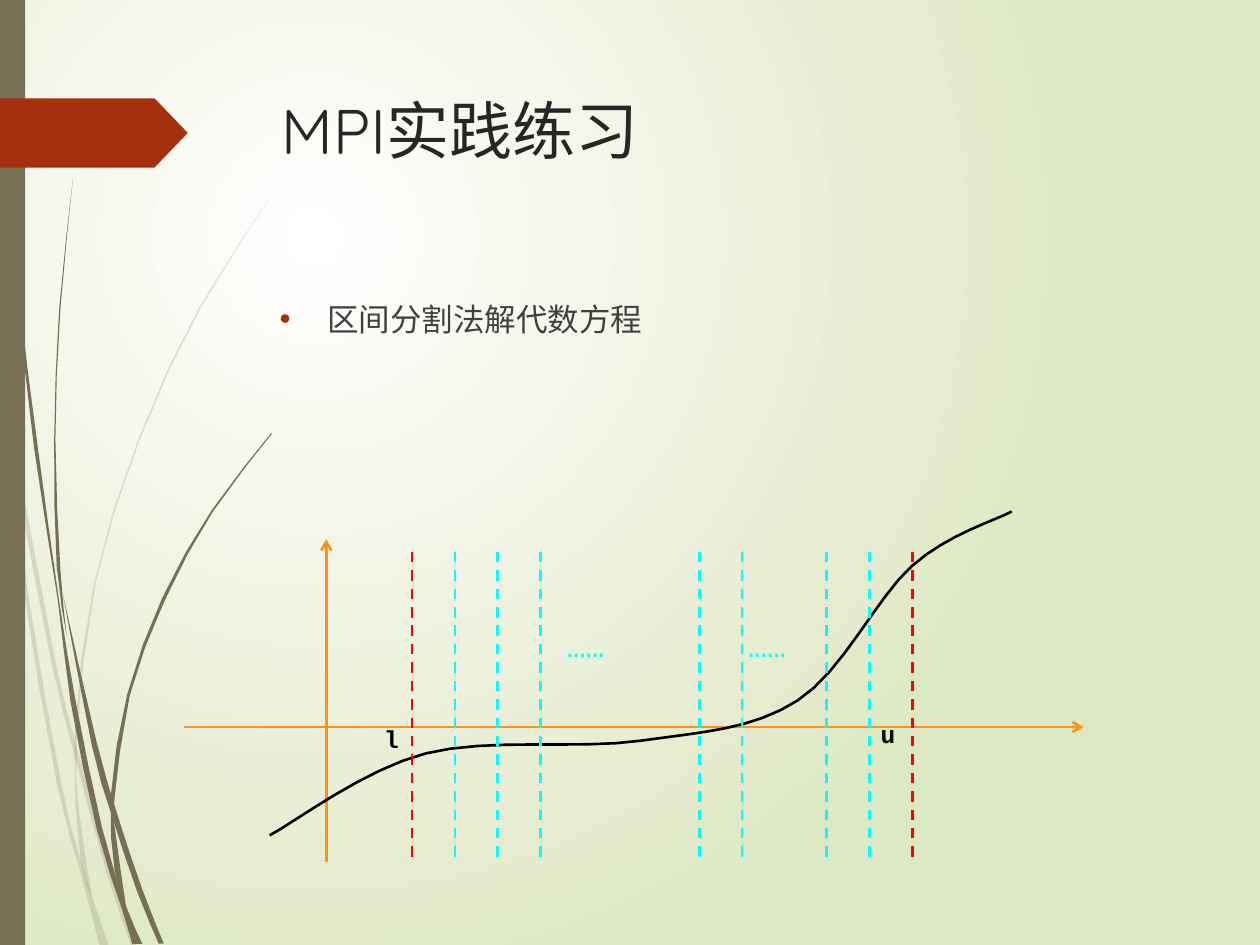
from lxml import etree
from pptx import Presentation
from pptx.dml.color import RGBColor
from pptx.enum.dml import MSO_LINE
from pptx.enum.shapes import MSO_CONNECTOR, MSO_SHAPE
from pptx.enum.text import MSO_ANCHOR, MSO_AUTO_SIZE
from pptx.oxml.ns import qn
from pptx.util import Inches, Pt

STRAIGHT = MSO_CONNECTOR.STRAIGHT
DASH = MSO_LINE.DASH
RECTANGLE, PENTAGON = MSO_SHAPE.RECTANGLE, MSO_SHAPE.PENTAGON
TOP = MSO_ANCHOR.TOP
FIT_SHAPE, NO_FIT = MSO_AUTO_SIZE.SHAPE_TO_FIT_TEXT, MSO_AUTO_SIZE.NONE

WHITE = RGBColor(0xFF, 0xFF, 0xFF)
PALE_GREEN = RGBColor(0xDF, 0xE8, 0xC4)
OLIVE = RGBColor(0x76, 0x6F, 0x54)
RUST = RGBColor(0xA5, 0x30, 0x10)
TITLE_GREY = RGBColor(0x26, 0x26, 0x26)
BODY_GREY = RGBColor(0x40, 0x40, 0x40)
ORANGE = RGBColor(0xFB, 0x93, 0x18)
BLACK = RGBColor(0, 0, 0)
RED = RGBColor(0xFF, 0, 0)
CYAN = RGBColor(0, 0xFF, 0xFF)

TITLE_FORMAT = {"name": "Quicksand", "size": Pt(36)}
BODY_FORMAT = {"name": "Quicksand", "size": Pt(18)}
BOUND_FORMAT = {"name": "Courier New", "size": Pt(14), "bold": True}
DOTS_FORMAT = {"name": "Courier New", "size": Pt(18)}

FAINT_BLADES = [
    ([(0.1, 3.45), (0.43, 5.2), (0.59, 5.86), (0.88, 6.92), (1.08, 7.5)],
     [(0.12, 3.76), (0.4, 5.22), (0.59, 5.99), (0.85, 6.94), (1.04, 7.5)]),
    ([(0.08, 3.5), (0.22, 4.69), (0.48, 6.19), (0.64, 6.83), (0.86, 7.5)],
     [(0.08, 3.5), (0.19, 4.7), (0.45, 6.21), (0.64, 6.93), (0.79, 7.5)]),
    ([(2.17, 1.53), (1.58, 2.44), (1.1, 3.48), (0.75, 4.61),
      (0.59, 5.84), (0.64, 6.83), (0.73, 7.11)],
     [(2.17, 1.53), (1.59, 2.45), (1.11, 3.49), (0.76, 4.62),
      (0.61, 5.84), (0.63, 6.46), (0.73, 7.11)]),
]
SOLID_BLADES = [
    ([(0.03, 0), (0.06, 1.09), (0.15, 2.32), (0.3, 3.55), (0.47, 4.77),
      (0.6, 5.56), (0.81, 6.57), (1, 7.19), (1.13, 7.49)],
     [(0.02, 0), (0.05, 1.1), (0.14, 2.33), (0.27, 3.55), (0.46, 4.77),
      (0.56, 5.57), (0.77, 6.59), (0.97, 7.22), (1.05, 7.49)]),
    ([(0.5, 4.72), (0.77, 5.9), (0.94, 6.49), (1.13, 7.06), (1.3, 7.49)],
     [(0.5, 4.72), (0.73, 5.92), (0.88, 6.45), (1.09, 7.08), (1.26, 7.49)]),
    ([(0.58, 1.41), (0.47, 2.45), (0.43, 3.49), (0.45, 4.49), (0.53, 5.05)],
     [(0.58, 1.41), (0.48, 2.45), (0.44, 3.49), (0.48, 4.53), (0.53, 5.05)]),
    ([(2.15, 3.44), (1.68, 4.05), (1.29, 4.74), (1.01, 5.51),
      (0.88, 6.31), (0.91, 6.91), (1, 7.19)],
     [(2.16, 3.44), (1.69, 4.06), (1.31, 4.76), (1.03, 5.52),
      (0.91, 6.33), (0.91, 6.56), (1, 7.19)]),
]
FUNCTION_KNOTS = [(2.14, 6.63), (3.38, 5.98), (5.08, 5.88), (6.33, 5.56),
                  (7.24, 4.49), (8.03, 4.06)]
LOWER, UPPER, STEP = 3.27, 7.24, 0.34
DIVIDER_TOP, DIVIDER_BOTTOM = 4.38, 6.84


def smooth(knots, steps):
    padded = [knots[0], *knots, knots[-1]]
    points = [knots[0]]
    for a, b, c, d in zip(padded, padded[1:], padded[2:], padded[3:]):
        for i in range(1, steps + 1):
            t = i / steps
            points.append(tuple(
                q + t * (r - p) / 2 + t ** 2 * (2 * p - 5 * q + 4 * r - s) / 2
                + t ** 3 * (3 * q - p - 3 * r + s) / 2
                for p, q, r, s in zip(a, b, c, d)))
    return points


def add_outline(slide, points, closed):
    corners = [(Inches(x), Inches(y)) for x, y in points]
    builder = slide.shapes.build_freeform(*corners[0])
    builder.add_line_segments(corners[1:], close=closed)
    outline = builder.convert_to_shape()
    outline.shadow.inherit = False
    return outline


def paint(shape, color):
    shape.shadow.inherit = False
    shape.fill.solid()
    shape.fill.fore_color.rgb = color
    shape.line.fill.background()


def add_blade(slide, edges, opacity):
    near, far = edges
    blade = add_outline(slide, smooth(near, 2) + smooth(far, 2)[::-1], True)
    paint(blade, OLIVE)
    color = blade._element.spPr.find(qn("a:solidFill")).find(qn("a:srgbClr"))
    etree.SubElement(color, qn("a:alpha"), val=str(opacity * 1000))


def add_block(slide, preset, box, color):
    block = slide.shapes.add_shape(preset, *map(Inches, box))
    paint(block, color)
    return block


def add_rule(slide, start, end, color, dash=None, arrow=None):
    rule = slide.shapes.add_connector(STRAIGHT, *map(Inches, (*start, *end)))
    rule.line.color.rgb = color
    rule.line.width = Pt(1.5)
    if dash is not None:
        rule.line.dash_style = dash
    if arrow:
        outline = rule._element.spPr.find(qn("a:ln"))
        etree.SubElement(outline, qn("a:" + arrow), type="arrow")
    etree.SubElement(rule._element.spPr, qn("a:effectLst"))


def add_divider(slide, x, color):
    add_rule(slide, (x, DIVIDER_TOP), (x, DIVIDER_BOTTOM), color, dash=DASH)


def add_text(slide, text, box, font_format, color, wrap=False):
    label = slide.shapes.add_textbox(*map(Inches, box))
    frame_format = {"word_wrap": wrap, "vertical_anchor": TOP,
                    "auto_size": NO_FIT if wrap else FIT_SHAPE}
    for key, value in frame_format.items():
        setattr(label.text_frame, key, value)
    paragraph = label.text_frame.paragraphs[0]
    run = paragraph.add_run()
    run.text = text
    for key, value in font_format.items():
        setattr(run.font, key, value)
    run.font.color.rgb = color
    return paragraph


def add_bullet(paragraph, color):
    paragraph.space_before = Pt(10)
    properties = paragraph._p.get_or_add_pPr()
    properties.set("marL", str(Inches(0.38)))
    properties.set("indent", str(-Inches(0.38)))
    bullet_color = etree.SubElement(properties, qn("a:buClr"))
    etree.SubElement(bullet_color, qn("a:srgbClr"), val=str(color))
    etree.SubElement(properties, qn("a:buFont"), typeface="Arial")
    etree.SubElement(properties, qn("a:buChar"), char="•")


def set_background(slide):
    fill = slide.background.fill
    fill.gradient()
    for stop, color in zip(fill.gradient_stops, (WHITE, PALE_GREEN)):
        stop.color.rgb = color
    gradient = slide.element.find(".//" + qn("a:gradFill"))
    gradient.remove(gradient.find(qn("a:lin")))
    radial = etree.SubElement(gradient, qn("a:path"), {"path": "circle"})
    etree.SubElement(radial, qn("a:fillToRect"), l="50000", t="50000", r="100000", b="100000")


def add_decoration(slide):
    for blades, opacity in ((FAINT_BLADES, 20), (SOLID_BLADES, 100)):
        for edges in blades:
            add_blade(slide, edges, opacity)
    add_block(slide, RECTANGLE, (0, 0, 0.2, 7.5), OLIVE)
    ribbon = add_block(slide, PENTAGON, (0, 0.78, 1.49, 0.55), RUST)
    ribbon.adjustments[0] = 0.48


def add_graph(slide):
    add_rule(slide, (1.46, 5.77), (8.6, 5.77), ORANGE, arrow="tailEnd")
    add_rule(slide, (2.59, 4.28), (2.59, 6.84), ORANGE, arrow="headEnd")
    curve = add_outline(slide, smooth(FUNCTION_KNOTS, 8), False)
    curve.fill.background()
    curve.line.color.rgb = BLACK
    curve.line.width = Pt(1.5)
    for x in (LOWER, UPPER):
        add_divider(slide, x, RED)
    add_text(slide, "l", (2.95, 5.7, 0.32, 0.33), BOUND_FORMAT, BLACK)
    add_text(slide, "u", (6.89, 5.66, 0.32, 0.33), BOUND_FORMAT, BLACK)
    for start, count in ((LOWER + STEP, 3), (5.55, 2), (UPPER - 2 * STEP, 2)):
        for i in range(count):
            add_divider(slide, start + i * STEP, CYAN)
    for left in (4.4, 5.84):
        add_text(slide, "……", (left, 4.92, 0.5, 0.4), DOTS_FORMAT, CYAN)


def main():
    deck = Presentation()
    deck.slide_width, deck.slide_height = Inches(10), Inches(7.5)
    slide = deck.slides.add_slide(deck.slide_layouts[6])
    set_background(slide)
    add_decoration(slide)
    add_text(slide, "MPI实践练习", (2.13, 0.68, 7.21, 1.4), TITLE_FORMAT, TITLE_GREY, wrap=True)
    topic = add_text(slide, "区间分割法解代数方程", (2.12, 2.33, 7.21, 4.13),
                     BODY_FORMAT, BODY_GREY, wrap=True)
    add_bullet(topic, RUST)
    add_graph(slide)
    deck.save("out.pptx")


if __name__ == "__main__":
    main()
